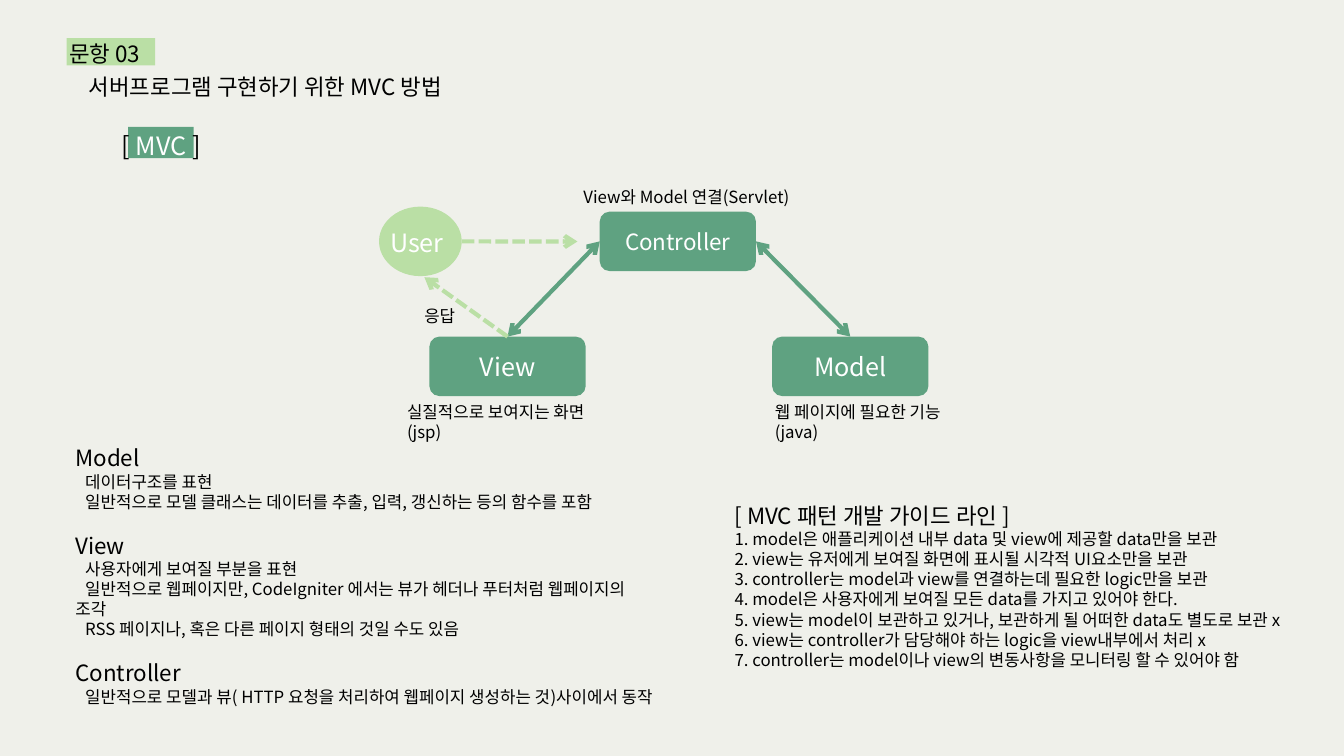
from dataclasses import dataclass

from lxml.etree import SubElement
from pptx import Presentation
from pptx.dml.color import RGBColor
from pptx.enum.dml import MSO_LINE
from pptx.enum.shapes import MSO_CONNECTOR, MSO_SHAPE
from pptx.enum.text import MSO_ANCHOR, MSO_AUTO_SIZE, PP_ALIGN
from pptx.oxml.ns import qn
from pptx.slide import Slide
from pptx.text.text import TextFrame
from pptx.util import Inches, Pt

SLIDE_WIDTH, SLIDE_HEIGHT = Inches(13.33), Inches(7.5)
COLUMNS, ROWS = 64, 36

BACKGROUND = RGBColor(0xEF, 0xF0, 0xEA)
LIGHT_GREEN = RGBColor(0xBA, 0xDF, 0xA5)
GREEN = RGBColor(0x5F, 0xA2, 0x81)
BLACK = RGBColor(0x00, 0x00, 0x00)
WHITE = RGBColor(0xFF, 0xFF, 0xFF)
FONT = "Noto Sans CJK KR"

Point = tuple[float, float]


@dataclass(frozen=True)
class Box:
    """A place on the grid, in columns and rows."""
    column: float
    row: float
    width: float
    height: float

    @property
    def top(self) -> Point:
        return self.column + self.width / 2, self.row

    @property
    def left(self) -> Point:
        return self.column, self.row + self.height / 2

    @property
    def right(self) -> Point:
        return self.column + self.width, self.row + self.height / 2

    def lengths(self) -> tuple[int, int, int, int]:
        return (*position((self.column, self.row)), *position((self.width, self.height)))


@dataclass(frozen=True)
class Run:
    text: str
    size: float = 12
    color: RGBColor = BLACK


@dataclass(frozen=True)
class Line:
    """One paragraph; indent moves its first line, in points."""
    runs: tuple[Run, ...]
    indent: float = 0
    space_before: float = 0
    line_spacing: float = 1.0
    align: PP_ALIGN = PP_ALIGN.LEFT


@dataclass(frozen=True)
class Block:
    kind: MSO_SHAPE
    box: Box
    fill: RGBColor
    label: Run | None = None


@dataclass(frozen=True)
class Arrow:
    begin: Point
    end: Point
    color: RGBColor
    two_way: bool


@dataclass(frozen=True)
class Note:
    box: Box
    lines: tuple[Line, ...]


def position(point: Point) -> tuple[int, int]:
    return round(point[0] * SLIDE_WIDTH / COLUMNS), round(point[1] * SLIDE_HEIGHT / ROWS)


def plain(text: str, size: float = 12, **layout: float) -> Line:
    return Line((Run(text, size),), **layout)


def section(heading: str, *sentences: str, space_before: float = 14.4) -> tuple[Line, ...]:
    return (plain(heading, 16, space_before=space_before),
            *(plain(sentence, indent=7) for sentence in sentences))


def write(frame: TextFrame, lines: tuple[Line, ...]) -> None:
    frame.word_wrap = True
    for number, line in enumerate(lines):
        paragraph = frame.add_paragraph() if number else frame.paragraphs[0]
        paragraph.alignment = line.align
        paragraph.line_spacing = line.line_spacing
        paragraph.space_before = Pt(line.space_before)
        if line.indent:
            properties = paragraph._p.get_or_add_pPr()
            properties.set("marL", "0")
            properties.set("indent", str(Pt(line.indent)))
        for piece in line.runs:
            run = paragraph.add_run()
            run.text = piece.text
            run.font.size = Pt(piece.size)
            run.font.color.rgb = piece.color
            run.font.name = FONT
            SubElement(run._r.get_or_add_rPr(), qn("a:ea"), typeface=FONT)


def add_block(slide: Slide, block: Block) -> None:
    shape = slide.shapes.add_shape(block.kind, *block.box.lengths())
    shape.shadow.inherit = False
    shape.fill.solid()
    shape.fill.fore_color.rgb = block.fill
    shape.line.fill.background()
    if block.label:
        shape.text_frame.vertical_anchor = MSO_ANCHOR.MIDDLE
        write(shape.text_frame, (Line((block.label,), align=PP_ALIGN.CENTER),))


def add_arrow(slide: Slide, arrow: Arrow) -> None:
    connector = slide.shapes.add_connector(
        MSO_CONNECTOR.STRAIGHT, *position(arrow.begin), *position(arrow.end))
    connector.line.color.rgb = arrow.color
    connector.line.width = Pt(3)
    if not arrow.two_way:
        connector.line.dash_style = MSO_LINE.SQUARE_DOT
    outline = connector.line._get_or_add_ln()
    for end in ("a:headEnd", "a:tailEnd") if arrow.two_way else ("a:tailEnd",):
        SubElement(outline, qn(end), type="arrow")
    SubElement(connector._element.spPr, qn("a:effectLst"))


def add_note(slide: Slide, note: Note) -> None:
    frame = slide.shapes.add_textbox(*note.box.lengths()).text_frame
    write(frame, note.lines)
    frame.auto_size = MSO_AUTO_SIZE.SHAPE_TO_FIT_TEXT


USER = Box(18.05, 9.84, 3.94, 3.31)
CONTROLLER = Box(28.56, 10.08, 7.44, 2.83)
MODEL = Box(36.77, 16.03, 7.44, 2.83)
VIEW = Box(20.45, 16.03, 7.44, 2.83)

BLOCKS = (
    Block(MSO_SHAPE.RECTANGLE, Box(3.17, 1.82, 4.22, 1.3), LIGHT_GREEN),
    Block(MSO_SHAPE.RECTANGLE, Box(6.1, 6.05, 3.12, 1.49), GREEN),
    Block(MSO_SHAPE.OVAL, USER, LIGHT_GREEN),
    Block(MSO_SHAPE.ROUNDED_RECTANGLE, CONTROLLER, GREEN, Run("Controller", 16, WHITE)),
    Block(MSO_SHAPE.ROUNDED_RECTANGLE, MODEL, GREEN, Run("Model", 18, WHITE)),
    Block(MSO_SHAPE.ROUNDED_RECTANGLE, VIEW, GREEN, Run("View", 18, WHITE)),
)

ARROWS = (
    Arrow(CONTROLLER.left, VIEW.top, GREEN, two_way=True),
    Arrow(CONTROLLER.right, MODEL.top, GREEN, two_way=True),
    Arrow(USER.right, (27.5, 11.5), LIGHT_GREEN, two_way=False),
    Arrow(VIEW.top, (20.21, 13.2), LIGHT_GREEN, two_way=False),
)

ROLES = (
    *section("Model", "데이터구조를 표현",
             "일반적으로 모델 클래스는 데이터를 추출, 입력, 갱신하는 등의 함수를 포함", space_before=0),
    *section("View", "사용자에게 보여질 부분을 표현",
             "일반적으로 웹페이지만, CodeIgniter 에서는 뷰가 헤더나 푸터처럼 웹페이지의 조각",
             "RSS 페이지나, 혹은 다른 페이지 형태의 것일 수도 있음"),
    *section("Controller",
             "일반적으로 모델과 뷰( HTTP 요청을 처리하여 웹페이지 생성하는 것)사이에서 동작"),
)

GUIDELINES = (
    "1. model은 애플리케이션 내부 data 및 view에 제공할 data만을 보관",
    "2. view는 유저에게 보여질 화면에 표시될 시각적 UI요소만을 보관",
    "3. controller는 model과 view를 연결하는데 필요한 logic만을 보관",
    "4. model은 사용자에게 보여질 모든 data를 가지고 있어야 한다.",
    "5. view는 model이 보관하고 있거나, 보관하게 될 어떠한 data도 별도로 보관 x",
    "6. view는 controller가 담당해야 하는 logic을 view내부에서 처리 x",
    "7. controller는 model이나 view의 변동사항을 모니터링 할 수 있어야 함",
)

NOTES = (
    Note(Box(2.83, 1.44, 60, 3.6), (
        plain("문항 03", 16, line_spacing=1.2),
        plain("서버프로그램 구현하기 위한 MVC 방법", 16, indent=14, line_spacing=1.2))),
    Note(Box(5.04, 5.66, 5.28, 2.21), (
        Line((Run("[ ", 18), Run("MVC ", 18, WHITE), Run("]", 18)),
             line_spacing=1.2, align=PP_ALIGN.CENTER),)),
    Note(Box(3.12, 20.93, 28.75, 14.06), ROLES),
    Note(Box(18.1, 10.61, 4.7, 1.92), (Line((Run("User", 18, WHITE),)),)),
    Note(Box(27.31, 8.64, 10.8, 1.44), (plain("View와 Model 연결(Servlet)"),)),
    Note(Box(19.73, 14.3, 8.64, 1.44), (plain("응답"),)),
    Note(Box(18.91, 18.9, 10.75, 1.44), (plain("실질적으로 보여지는 화면(jsp)"),)),
    Note(Box(36.43, 18.88, 10.75, 1.44), (plain("웹 페이지에 필요한 기능(java)"),)),
    Note(Box(34.51, 23.66, 28.42, 8.54), (
        plain("[ MVC 패턴 개발 가이드 라인 ]", 16), *map(plain, GUIDELINES))),
)


def main() -> None:
    presentation = Presentation()
    presentation.slide_width, presentation.slide_height = SLIDE_WIDTH, SLIDE_HEIGHT
    slide = presentation.slides.add_slide(presentation.slide_layouts[6])
    slide.background.fill.solid()
    slide.background.fill.fore_color.rgb = BACKGROUND
    for block in BLOCKS:
        add_block(slide, block)
    for arrow in ARROWS:
        add_arrow(slide, arrow)
    for note in NOTES:
        add_note(slide, note)
    presentation.save("out.pptx")


if __name__ == "__main__":
    main()
